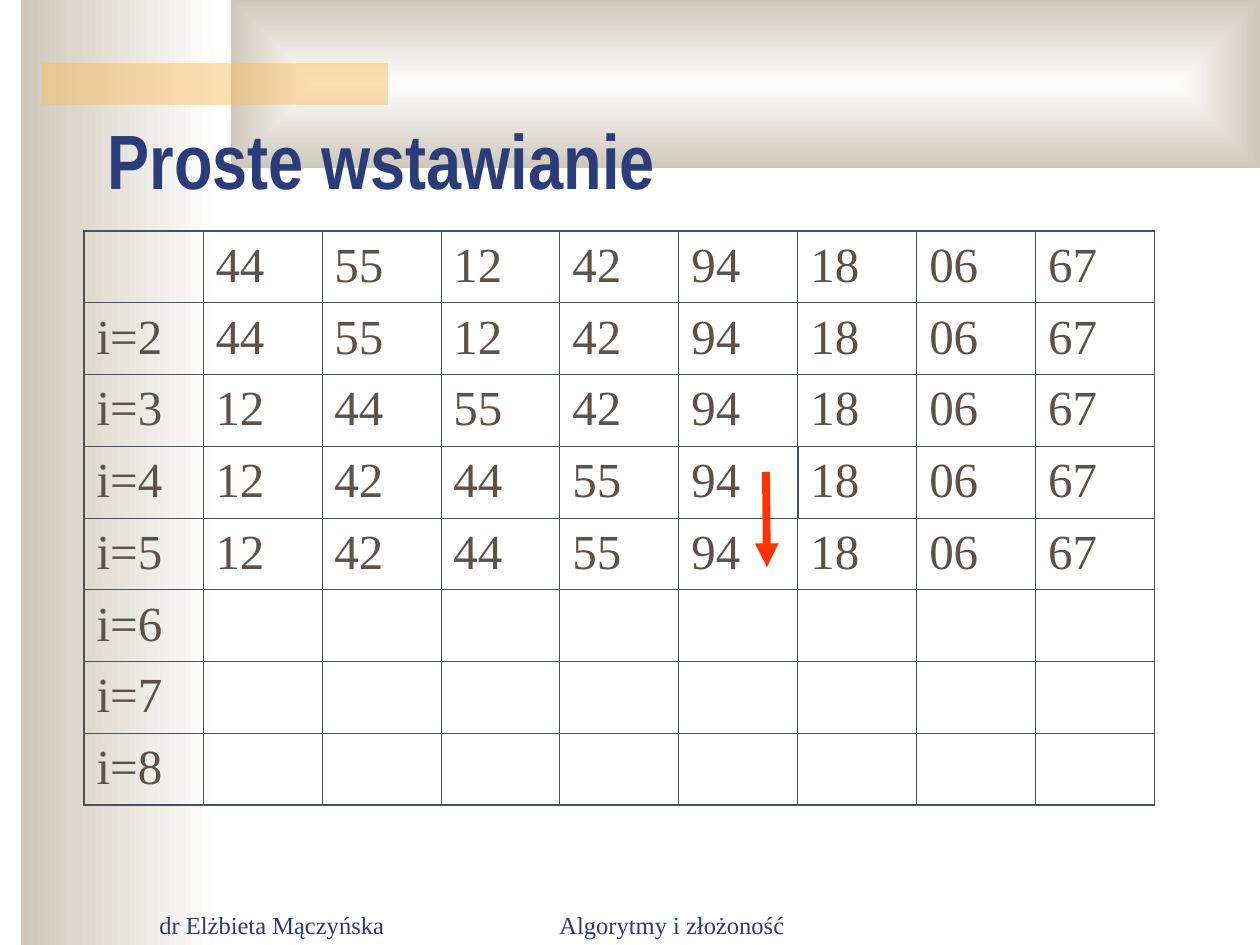
"""Build the slide that traces simple insertion sort in a table."""
from lxml.etree import SubElement
from pptx import Presentation
from pptx.dml.color import RGBColor
from pptx.enum.shapes import MSO_CONNECTOR, MSO_SHAPE
from pptx.enum.text import MSO_ANCHOR as Anchor, PP_ALIGN as Align
from pptx.oxml import parse_xml
from pptx.oxml.ns import nsdecls, qn
from pptx.util import Pt

TITLE = "Proste wstawianie"
FOOTERS = [
    ("dr Elżbieta Mączyńska", (147, 883, 262, 63), Align.LEFT),
    ("Algorytmy i złożoność", (473, 883, 398, 63), Align.CENTER),
]
STEPS = [
    ("", "44 55 12 42 94 18 06 67"),
    ("i=2", "44 55 12 42 94 18 06 67"),
    ("i=3", "12 44 55 42 94 18 06 67"),
    ("i=4", "12 42 44 55 94 18 06 67"),
    ("i=5", "12 42 44 55 94 18 06 67"),
    ("i=6", ""),
    ("i=7", ""),
    ("i=8", ""),
]
COLUMNS = 9
MARKED_ROW, MARKED_COLUMN = 3, 5

SIDE_BAND = (21, 0, 199, 945)
TOP_BAND = (231, 0, 1029, 168)
ACCENT_BAR = (42, 63, 346, 42)
TITLE_BOX = (95, 105, 1071, 106)
TABLE_BOX = (84, 231, 1071, 574)
ARROW = (766, 472, 767, 567)

WHITE = RGBColor(0xFF, 0xFF, 0xFF)
BEIGE = RGBColor(0xCE, 0xC8, 0xBA)
AMBER = RGBColor(0xFA, 0xC1, 0x64)
NAVY = RGBColor(0x2A, 0x3D, 0x7A)
BROWN = RGBColor(0x5B, 0x52, 0x49)
SLATE = RGBColor(0x49, 0x52, 0x5B)
RED = RGBColor(0xFF, 0x33, 0x00)

SERIF = "Times New Roman"
THIN, OUTER, MARKED = 0.45, 1.08, 1.47
PX = 914400 / 126


def emu(lengths):
    return [round(length * PX) for length in lengths]


def add_band(slide, box):
    band = slide.shapes.add_shape(MSO_SHAPE.RECTANGLE, *emu(box))
    band.shadow.inherit = False
    band.line.fill.background()
    return band


def set_gradient(band, start, end):
    band.fill.gradient()
    band.fill.gradient_angle = 0
    for stop, color, position in zip(band.fill.gradient_stops, (start, end), (0, 1)):
        stop.color.rgb = color
        stop.position = position


def write(frame, text, font_name, size, color, bold=False):
    paragraph = frame.paragraphs[0]
    run = paragraph.add_run()
    run.text = text
    run.font.name = font_name
    run.font.size = Pt(size)
    run.font.color.rgb = color
    run.font.bold = bold
    return paragraph


def set_borders(cell, widths):
    properties = cell._tc.get_or_add_tcPr()
    for index, (side, width) in enumerate(zip("LRTB", widths)):
        properties.insert(index, parse_xml(
            f'<a:ln{side} {nsdecls("a")} w="{Pt(width)}"><a:solidFill>'
            f'<a:srgbClr val="{SLATE}"/></a:solidFill></a:ln{side}>'))


def border_widths(row, column):
    left = OUTER if column == 0 else THIN
    right = OUTER if column == COLUMNS - 1 else THIN
    if row == MARKED_ROW and column == MARKED_COLUMN:
        right = MARKED
    if row == MARKED_ROW and column == MARKED_COLUMN + 1:
        left = MARKED
    top = OUTER if row == 0 else THIN
    bottom = OUTER if row == len(STEPS) - 1 else THIN
    return left, right, top, bottom


def add_backdrop(slide):
    set_gradient(add_band(slide, SIDE_BAND), BEIGE, WHITE)

    top_band = add_band(slide, TOP_BAND)
    set_gradient(top_band, WHITE, BEIGE)
    linear = top_band._element.spPr.find(".//" + qn("a:lin"))
    linear.getparent().replace(linear, parse_xml(
        f'<a:path {nsdecls("a")} path="rect">'
        '<a:fillToRect l="50000" t="50000" r="50000" b="50000"/></a:path>'))

    accent = add_band(slide, ACCENT_BAR)
    accent.fill.solid()
    accent.fill.fore_color.rgb = AMBER
    amber = accent._element.spPr.find(".//" + qn("a:srgbClr"))
    SubElement(amber, qn("a:alpha"), val="50000")


def add_footers(slide):
    for text, box, alignment in FOOTERS:
        frame = slide.shapes.add_textbox(*emu(box)).text_frame
        frame.word_wrap = True
        frame.vertical_anchor = Anchor.BOTTOM
        write(frame, text, SERIF, 14, NAVY).alignment = alignment


def add_steps(slide):
    table = slide.shapes.add_table(len(STEPS), COLUMNS, *emu(TABLE_BOX)).table
    table.first_row = table.horz_banding = False
    for row, (label, numbers) in enumerate(STEPS):
        values = [label, *numbers.split()]
        for column in range(COLUMNS):
            cell = table.cell(row, column)
            cell.vertical_anchor = Anchor.MIDDLE
            cell.fill.background()
            set_borders(cell, border_widths(row, column))
            if column < len(values) and values[column]:
                paragraph = write(cell.text_frame, values[column], SERIF, 28, BROWN)
                paragraph.line_spacing = 0.95
                paragraph.space_before = Pt(7)


def add_arrow(slide):
    arrow = slide.shapes.add_connector(MSO_CONNECTOR.STRAIGHT, *emu(ARROW))
    arrow.line.color.rgb = RED
    arrow.line.width = Pt(4.5)
    SubElement(arrow.line._get_or_add_ln(), qn("a:tailEnd"), type="triangle")
    SubElement(arrow._element.spPr, qn("a:effectLst"))


def place_title(slide):
    title = slide.shapes.title
    title.left, title.top, title.width, title.height = emu(TITLE_BOX)
    title.text_frame.vertical_anchor = Anchor.BOTTOM
    write(title.text_frame, TITLE, "Arial Narrow", 44, NAVY, True).alignment = Align.LEFT
    slide.shapes._spTree.append(title._element)


def main():
    deck = Presentation()
    deck.slide_width, deck.slide_height = emu((1260, 945))
    slide = deck.slides.add_slide(deck.slide_layouts[5])
    add_backdrop(slide)
    add_footers(slide)
    add_steps(slide)
    add_arrow(slide)
    place_title(slide)
    deck.save("out.pptx")


if __name__ == "__main__":
    main()
